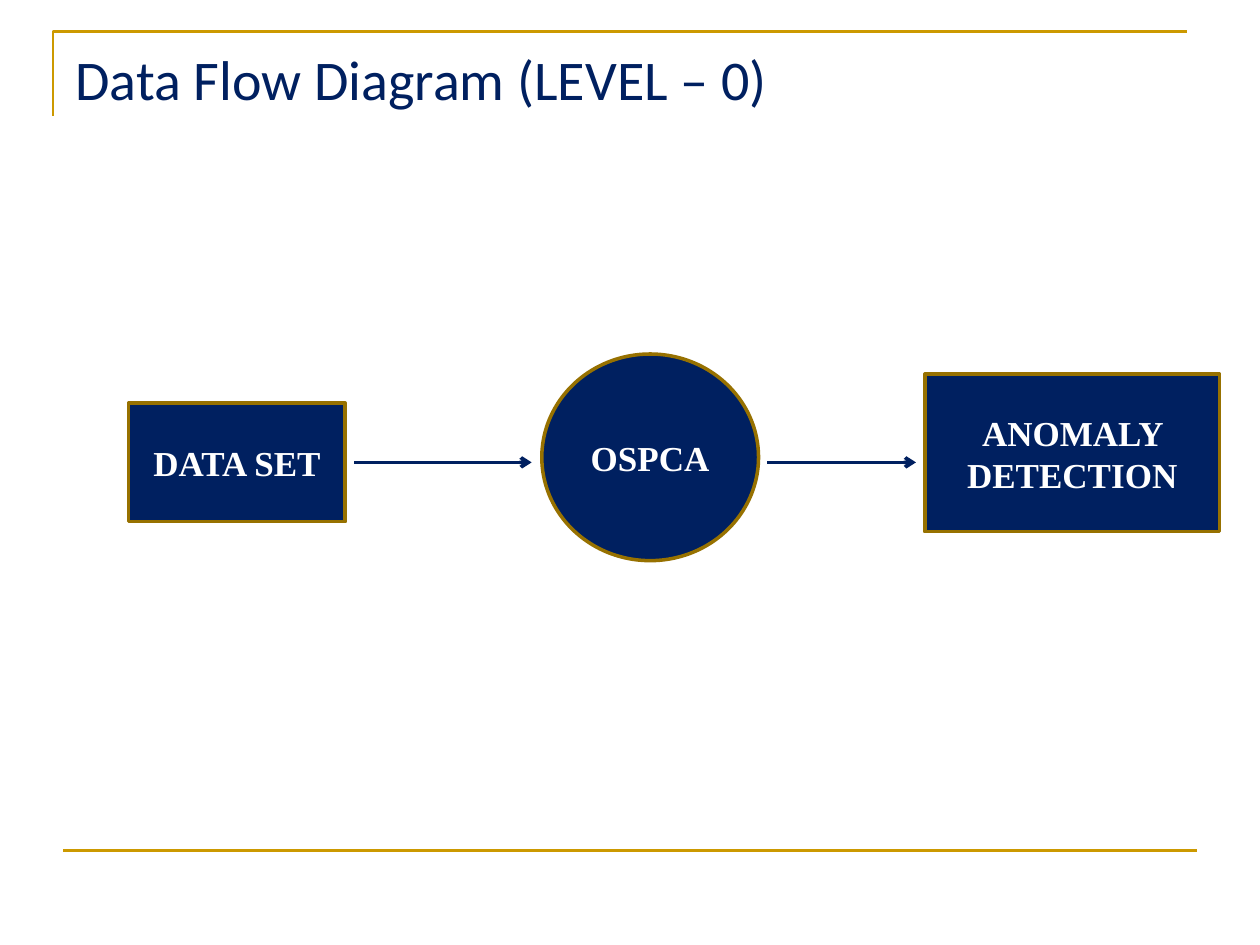
from lxml.etree import SubElement
from pptx import Presentation
from pptx.dml.color import RGBColor
from pptx.enum.shapes import MSO_CONNECTOR, MSO_SHAPE
from pptx.enum.text import MSO_ANCHOR, PP_ALIGN
from pptx.oxml.ns import qn
from pptx.util import Inches, Pt

NAVY = RGBColor(0x00, 0x20, 0x60)
GOLD = RGBColor(0xCC, 0x99, 0x00)
DARK_GOLD = RGBColor(0x97, 0x71, 0x00)
WHITE = RGBColor(0xFF, 0xFF, 0xFF)


def style_text(p, font, size, color, bold=False):
    for r in p.runs:
        r.font.name = font
        r.font.size = Pt(size)
        r.font.bold = bold
        r.font.color.rgb = color


def add_corner_frame(s, left, top, right, bottom):
    builder = s.shapes.build_freeform(Inches(left), Inches(bottom))
    builder.add_line_segments(
        [(Inches(left), Inches(top)), (Inches(right), Inches(top))], close=False)
    sp = builder.convert_to_shape()
    sp.shadow.inherit = False
    sp.fill.background()
    sp.line.color.rgb = GOLD
    sp.line.width = Pt(1.5)


def add_line(s, x1, x2, y, color, width, arrow=False):
    line = s.shapes.add_connector(
        MSO_CONNECTOR.STRAIGHT, Inches(x1), Inches(y), Inches(x2), Inches(y))
    line.line.color.rgb = color
    line.line.width = Pt(width)
    if arrow:
        SubElement(line.line._get_or_add_ln(), qn("a:tailEnd"), type="arrow")
    SubElement(line._element.spPr, qn("a:effectLst"))


def add_title(s, text):
    sp = s.shapes.add_textbox(Inches(0.5), Inches(0.3), Inches(9), Inches(1.25))
    tf = sp.text_frame
    tf.word_wrap = True
    tf.vertical_anchor = MSO_ANCHOR.TOP
    tf.text = text
    style_text(tf.paragraphs[0], "Calibri", 32, NAVY)


def add_node(s, kind, text, left, top, width, height):
    sp = s.shapes.add_shape(
        kind, Inches(left), Inches(top), Inches(width), Inches(height))
    sp.shadow.inherit = False
    sp.fill.solid()
    sp.fill.fore_color.rgb = NAVY
    sp.line.color.rgb = DARK_GOLD
    sp.line.width = Pt(2)
    tf = sp.text_frame
    tf.word_wrap = True
    tf.vertical_anchor = MSO_ANCHOR.MIDDLE
    tf.text = text
    p = tf.paragraphs[0]
    p.alignment = PP_ALIGN.CENTER
    style_text(p, "Times New Roman", 20, WHITE, bold=True)


def main():
    prs = Presentation()
    prs.slide_width, prs.slide_height = Inches(10), Inches(7.5)
    s = prs.slides.add_slide(prs.slide_layouts[6])

    # Gold frame lines and title
    add_corner_frame(s, 0.42, 0.25, 9.42, 0.92)
    add_line(s, 0.5, 9.5, 6.75, GOLD, 1.5)
    add_title(s, "Data Flow Diagram (LEVEL – 0)")

    # Source, process and result
    process = MSO_SHAPE.FLOWCHART_PROCESS
    add_node(s, process, "DATA SET", 1.02, 3.2, 1.72, 0.94)
    add_node(s, process, "ANOMALY DETECTION", 7.34, 2.97, 2.34, 1.25)
    add_node(s, MSO_SHAPE.OVAL, "OSPCA", 4.3, 2.81, 1.72, 1.64)

    # Flow arrows, set clear of the nodes
    for start, end in ((2.81, 4.22), (6.09, 7.27)):
        add_line(s, start, end, 3.67, NAVY, 2, arrow=True)

    prs.save("out.pptx")


if __name__ == "__main__":
    main()
